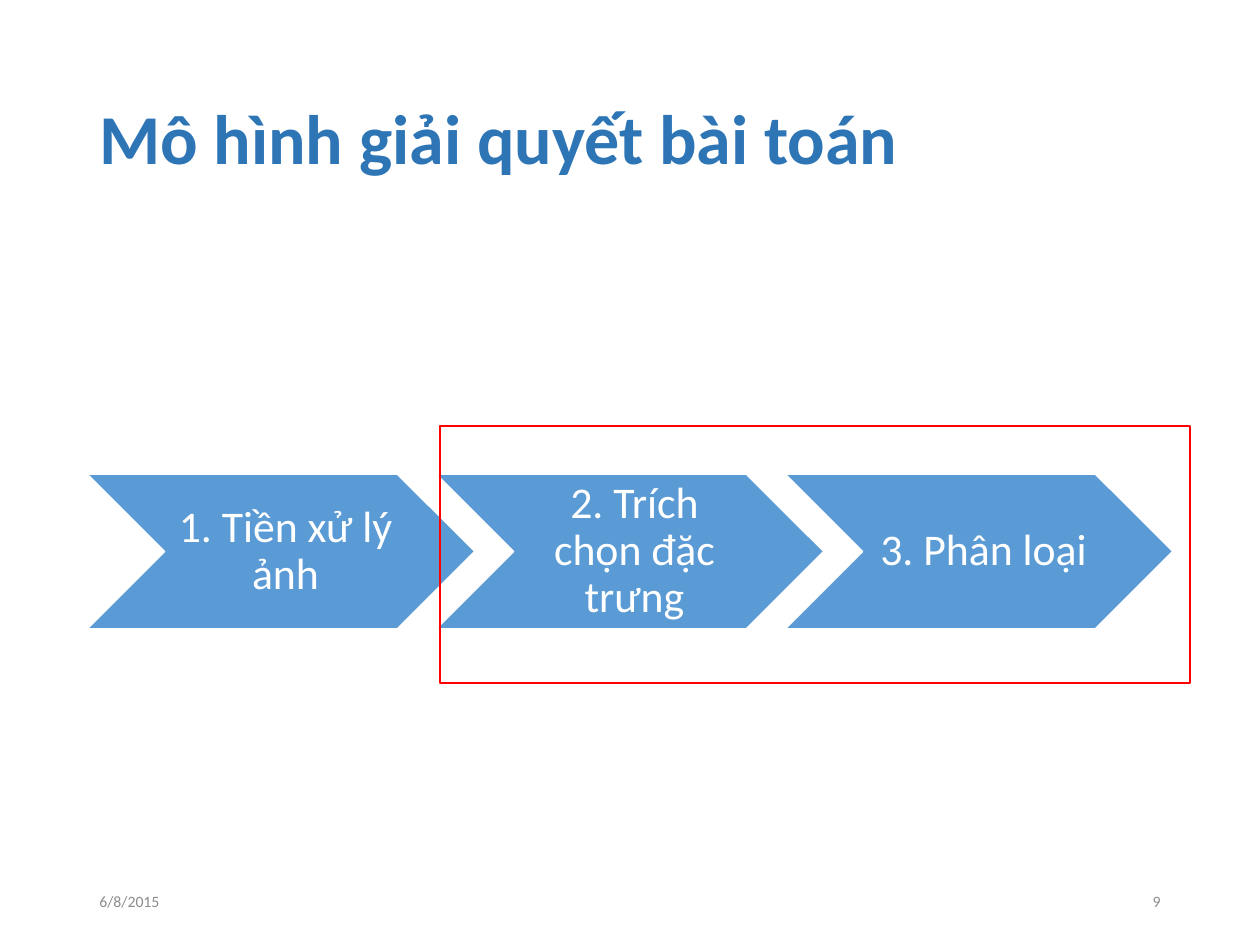
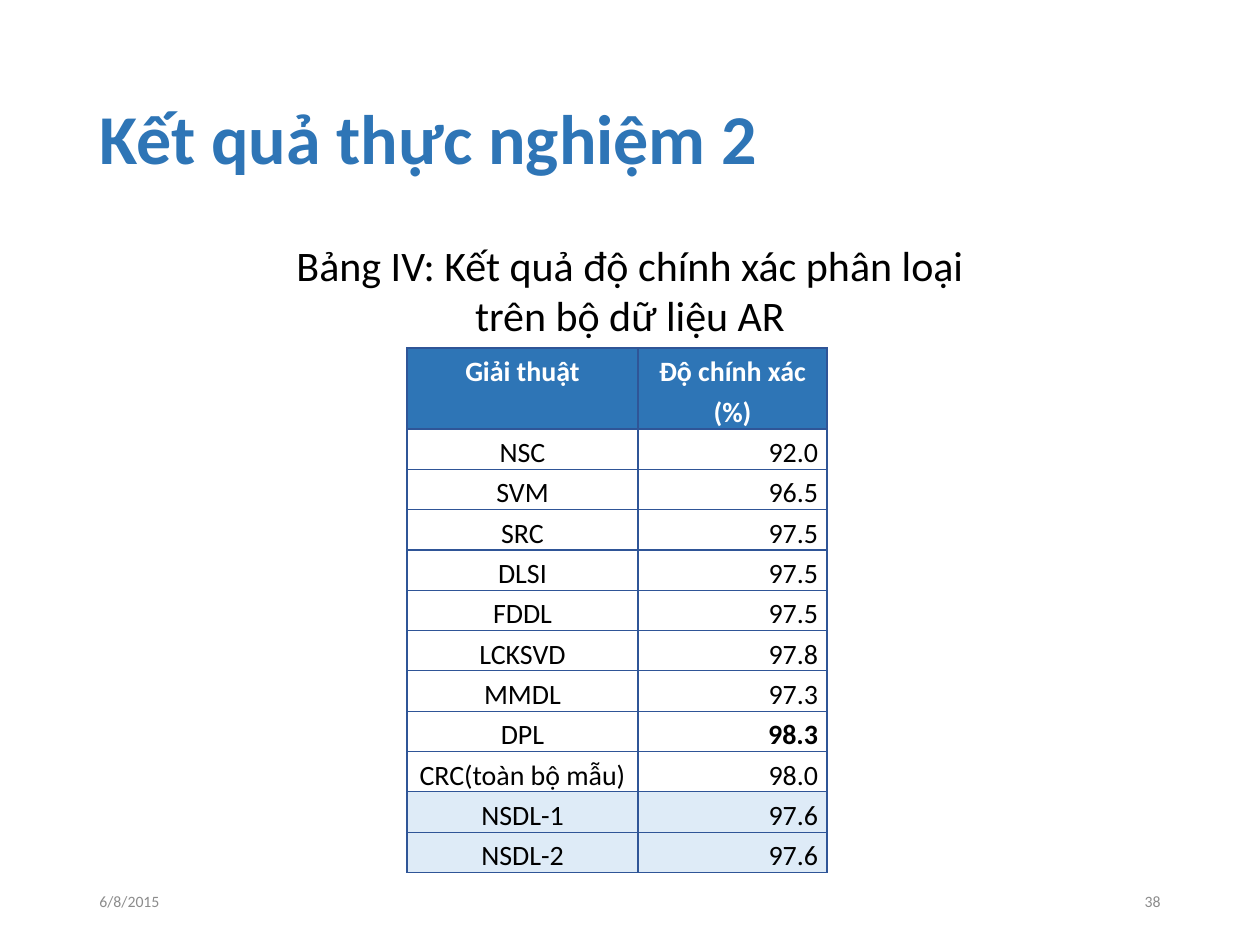
from typing import NamedTuple

from lxml.etree import SubElement
from pptx import Presentation
from pptx.dml.color import RGBColor
from pptx.enum.shapes import MSO_SHAPE as Preset
from pptx.enum.text import MSO_ANCHOR as Anchor, PP_ALIGN as Align
from pptx.oxml.ns import qn
from pptx.util import Emu, Pt

PX_PER_INCH = 126
FONT = "Calibri"
TITLE_BLUE, STEP_BLUE, PALE_BLUE, BORDER_BLUE = "2E75B6", "5B9BD5", "DEEBF7", "2F5597"
WHITE, BLACK, GREY, RED = "FFFFFF", "000000", "8C8C8C", "FF0000"
DATE = "6/8/2015"
STEPS = ("1. Tiền xử lý ảnh", "2. Trích chọn đặc trưng", "3. Phân loại")
STEP_PITCH = 349


class Area(NamedTuple):
    left: int
    top: int
    width: int
    height: int


class Style(NamedTuple):
    size: int
    color: str = BLACK
    bold: bool = False
    align: Align = Align.LEFT
    spacing: float = 1.0


class Result(NamedTuple):
    method: str
    accuracy: str
    best: bool = False
    proposed: bool = False


TITLE_STYLE = Style(40, TITLE_BLUE, bold=True, spacing=0.9)
STEP_STYLE = Style(25, WHITE, align=Align.CENTER, spacing=0.9)
CAPTION_STYLE = Style(24, align=Align.CENTER)
DATE_STYLE = Style(9, GREY)
NUMBER_STYLE = DATE_STYLE._replace(align=Align.RIGHT)
METHOD_STYLE = Style(16, align=Align.CENTER, spacing=1.2)
HEADER_STYLE = METHOD_STYLE._replace(color=WHITE, bold=True)
ACCURACY_STYLE = METHOD_STYLE._replace(align=Align.RIGHT)

RESULTS = (
    Result("NSC", "92.0"),
    Result("SVM", "96.5"),
    Result("SRC", "97.5"),
    Result("DLSI", "97.5"),
    Result("FDDL", "97.5"),
    Result("LCKSVD", "97.8"),
    Result("MMDL", "97.3"),
    Result("DPL", "98.3", best=True),
    Result("CRC(toàn bộ mẫu)", "98.0"),
    Result("NSDL-1", "97.6", proposed=True),
    Result("NSDL-2", "97.6", proposed=True),
)


def px(length: int) -> Emu:
    return Emu(round(length * 914400 / PX_PER_INCH))


def place(area: Area) -> list[Emu]:
    return [px(length) for length in area]


def color(code: str) -> RGBColor:
    return RGBColor.from_string(code)


def write(frame, text: str, style: Style) -> None:
    """Fill a text frame, one paragraph for each line of text."""
    frame.text = text
    for paragraph in frame.paragraphs:
        paragraph.alignment = style.align
        paragraph.line_spacing = style.spacing
        font = paragraph.font
        font.name, font.size, font.bold = FONT, Pt(style.size), style.bold
        font.color.rgb = color(style.color)


def set_insets(target, left: int, top: int, right: int, bottom: int) -> None:
    target.margin_left, target.margin_top = px(left), px(top)
    target.margin_right, target.margin_bottom = px(right), px(bottom)


def add_text(page, area: Area, text: str, style: Style, anchor: Anchor = Anchor.MIDDLE) -> None:
    frame = page.shapes.add_textbox(*place(area)).text_frame
    frame.word_wrap = True
    frame.vertical_anchor = anchor
    write(frame, text, style)


def add_outlined(page, preset: Preset, area: Area, line: str, weight: float):
    shape = page.shapes.add_shape(preset, *place(area))
    shape.shadow.inherit = False
    shape.line.color.rgb = color(line)
    shape.line.width = Pt(weight)
    return shape


def add_page(deck, title: str, number: int):
    """Add a blank slide with the shared title, date and slide number."""
    page = deck.slides.add_slide(deck.slide_layouts[6])
    add_text(page, Area(87, 50, 1086, 183), title, TITLE_STYLE)
    add_text(page, Area(87, 876, 284, 50), DATE, DATE_STYLE)
    add_text(page, Area(889, 876, 284, 50), str(number), NUMBER_STYLE)
    return page


def add_step(page, index: int, label: str) -> None:
    area = Area(87 + index * STEP_PITCH, 474, 388, 155)
    chevron = add_outlined(page, Preset.CHEVRON, area, WHITE, 1)
    chevron.fill.solid()
    chevron.fill.fore_color.rgb = color(STEP_BLUE)
    frame = chevron.text_frame
    frame.word_wrap = True
    frame.vertical_anchor = Anchor.MIDDLE
    set_insets(frame, 14, 5, 5, 5)
    write(frame, label, STEP_STYLE)


def add_borders(cell) -> None:
    properties = cell._tc.get_or_add_tcPr()
    for side in ("lnL", "lnR", "lnT", "lnB"):
        line = SubElement(properties, qn(f"a:{side}"), w=str(Pt(0.75)))
        fill = SubElement(line, qn("a:solidFill"))
        SubElement(fill, qn("a:srgbClr"), val=BORDER_BLUE)


def fill_cell(cell, text: str, style: Style, fill: str | None) -> None:
    set_insets(cell, 9, 0, 9, 0)
    write(cell.text_frame, text, style)
    add_borders(cell)
    if fill:
        cell.fill.solid()
        cell.fill.fore_color.rgb = color(fill)
    else:
        cell.fill.background()


def add_results(page) -> None:
    widths, header_height, row_height = (231, 189), 81, 40
    area = Area(407, 348, sum(widths), header_height + row_height * len(RESULTS))
    table = page.shapes.add_table(len(RESULTS) + 1, len(widths), *place(area)).table
    table.first_row = table.horz_banding = False
    for column, width in zip(table.columns, widths):
        column.width = px(width)
    for row in table.rows:
        row.height = px(row_height)
    table.rows[0].height = px(header_height)
    for index, heading in enumerate(("Giải thuật", "Độ chính xác (%)")):
        fill_cell(table.cell(0, index), heading, HEADER_STYLE, TITLE_BLUE)
    for index, result in enumerate(RESULTS, start=1):
        fill = PALE_BLUE if result.proposed else None
        fill_cell(table.cell(index, 0), result.method, METHOD_STYLE, fill)
        accuracy_style = ACCURACY_STYLE._replace(bold=result.best)
        fill_cell(table.cell(index, 1), result.accuracy, accuracy_style, fill)


def build_model_page(deck) -> None:
    page = add_page(deck, "Mô hình giải quyết bài toán", 9)
    for index, label in enumerate(STEPS):
        add_step(page, index, label)
    focus = add_outlined(page, Preset.RECTANGLE, Area(440, 426, 750, 257), RED, 0.75)
    focus.fill.background()


def build_results_page(deck) -> None:
    page = add_page(deck, "Kết quả thực nghiệm 2", 38)
    caption = "Bảng IV: Kết quả độ chính xác phân loại\ntrên bộ dữ liệu AR"
    add_text(page, Area(281, 233, 698, 115), caption, CAPTION_STYLE, Anchor.TOP)
    add_results(page)


def main() -> None:
    deck = Presentation()
    deck.slide_width, deck.slide_height = px(1260), px(945)
    build_model_page(deck)
    build_results_page(deck)
    deck.save("out.pptx")


if __name__ == "__main__":
    main()
